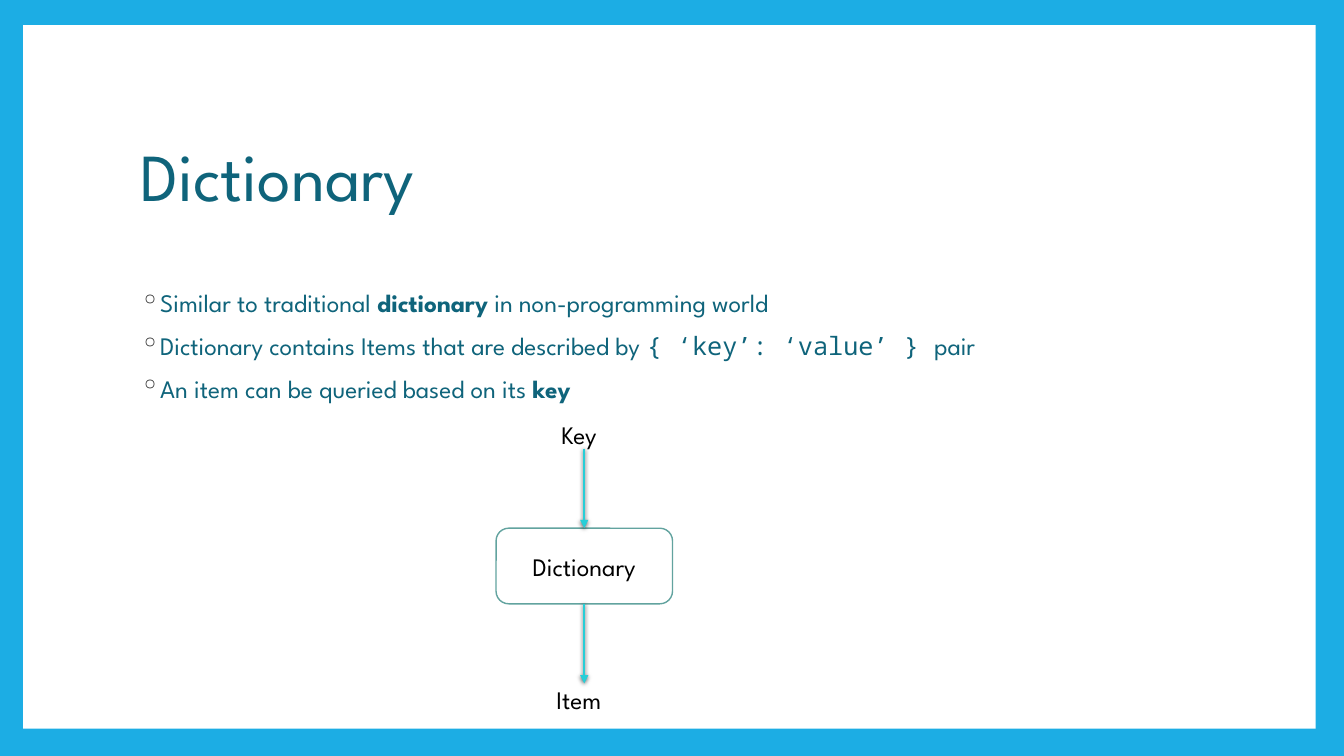
from lxml import etree
from pptx import Presentation
from pptx.dml.color import RGBColor
from pptx.enum import shapes, text
from pptx.oxml import ns
from pptx.util import Inches, Pt

# Content: each bullet is a list of (text, format) runs
TITLE = "Dictionary"
BULLETS = [
    [("Similar to traditional ", {}), ("dictionary", {"bold": True}),
     (" in non-programming world", {})],
    [("Dictionary contains Items that are described by ", {}),
     ("{ ‘key’: ‘value’ } ", {"font": "Noto Sans Mono"}), ("pair", {})],
    [("An item can be queried based on its ", {}), ("key", {"bold": True})],
]
NODE = "Dictionary"
LABELS = [("Key", 5.47, 4.11, 0.65), ("Item", 5.42, 6.74, 0.75)]

# Colours and font
FONT = "League Spartan"
BLUE = RGBColor(0x1C, 0xAD, 0xE4)
TEAL = RGBColor(0x0F, 0x64, 0x7B)
GREEN = RGBColor(0x62, 0xA3, 0x9F)
CYAN = RGBColor(0x27, 0xCE, 0xD7)
WHITE = RGBColor(0xFF, 0xFF, 0xFF)
BLACK = RGBColor(0, 0, 0)

# Geometry in inches
SLIDE_W, SLIDE_H = 13.33, 7.5
MARGIN_X, TEXT_W = 1.29, 10.71
NODE_X, NODE_Y, NODE_W, NODE_H = 4.92, 5.24, 1.75, 0.75
ARROW_LEN = 0.79

prs = Presentation()
prs.slide_width, prs.slide_height = Inches(SLIDE_W), Inches(SLIDE_H)
s = prs.slides.add_slide(prs.slide_layouts[6])


def add_run(p, content, font=FONT, size=18, color=BLACK, bold=False):
    r = p.add_run()
    r.text = content
    r.font.name, r.font.size, r.font.bold = font, Pt(size), bold
    r.font.color.rgb = color


def add_box(x, y, w, h, wrap=True):
    tf = s.shapes.add_textbox(*map(Inches, (x, y, w, h))).text_frame
    tf.word_wrap = wrap
    return tf


def add_block(kind, x, y, w, h, fill, line=None):
    sp = s.shapes.add_shape(kind, *map(Inches, (x, y, w, h)))
    sp.shadow.inherit = False
    sp.fill.solid()
    sp.fill.fore_color.rgb = fill
    if line is None:
        sp.line.fill.background()
    else:
        sp.line.color.rgb, sp.line.width = line, Pt(1)
    return sp


def add_bullet(p):
    pPr = p._p.get_or_add_pPr()
    pPr.set("marL", str(Inches(0.2)))
    pPr.set("indent", str(Inches(-0.2)))
    color = etree.SubElement(pPr, ns.qn("a:buClr"))
    etree.SubElement(color, ns.qn("a:srgbClr"), val="262626")
    etree.SubElement(pPr, ns.qn("a:buChar"), char="◦")


def add_arrow(x, y1, y2):
    c = s.shapes.add_connector(shapes.MSO_CONNECTOR.STRAIGHT,
                               *map(Inches, (x, y1, x, y2)))
    c.line.color.rgb, c.line.width = CYAN, Pt(1.5)
    etree.SubElement(c.line._get_or_add_ln(), ns.qn("a:tailEnd"), type="triangle")
    effects = etree.SubElement(c._element.spPr, ns.qn("a:effectLst"))
    shadow = etree.SubElement(effects, ns.qn("a:outerShdw"), blurRad=str(Pt(3)),
                              dist=str(Pt(1)), dir="5400000", rotWithShape="0")
    color = etree.SubElement(shadow, ns.qn("a:srgbClr"), val="000000")
    etree.SubElement(color, ns.qn("a:alpha"), val="63000")


# Frame
RECT = shapes.MSO_SHAPE.RECTANGLE
add_block(RECT, 0, 0, SLIDE_W, SLIDE_H, BLUE)
add_block(RECT, 0.23, 0.25, 12.82, 6.98, WHITE)

# Title
tf = add_box(MARGIN_X, 0.95, TEXT_W, 1.67)
tf.vertical_anchor = text.MSO_ANCHOR.MIDDLE
tf.paragraphs[0].line_spacing = 0.9
add_run(tf.paragraphs[0], TITLE, size=48, color=TEAL)

# Bullets
tf = add_box(MARGIN_X, 2.8, TEXT_W, 3.73)
for i, runs in enumerate(BULLETS):
    p = tf.add_paragraph() if i else tf.paragraphs[0]
    p.space_before = Pt(9)
    add_bullet(p)
    for content, fmt in runs:
        add_run(p, content, color=TEAL, **fmt)

# Diagram: key -> dictionary -> item
node = add_block(shapes.MSO_SHAPE.ROUNDED_RECTANGLE,
                 NODE_X, NODE_Y, NODE_W, NODE_H, WHITE, GREEN)
tf = node.text_frame
tf.vertical_anchor = text.MSO_ANCHOR.MIDDLE
tf.paragraphs[0].alignment = text.PP_ALIGN.CENTER
add_run(tf.paragraphs[0], NODE)

center, bottom = NODE_X + NODE_W / 2, NODE_Y + NODE_H
for start, end in [(NODE_Y - ARROW_LEN, NODE_Y), (bottom, bottom + ARROW_LEN)]:
    add_arrow(center, start, end)

for content, x, y, w in LABELS:
    tf = add_box(x, y, w, 0.4, wrap=False)
    tf.auto_size = text.MSO_AUTO_SIZE.SHAPE_TO_FIT_TEXT
    add_run(tf.paragraphs[0], content)

prs.save("out.pptx")
